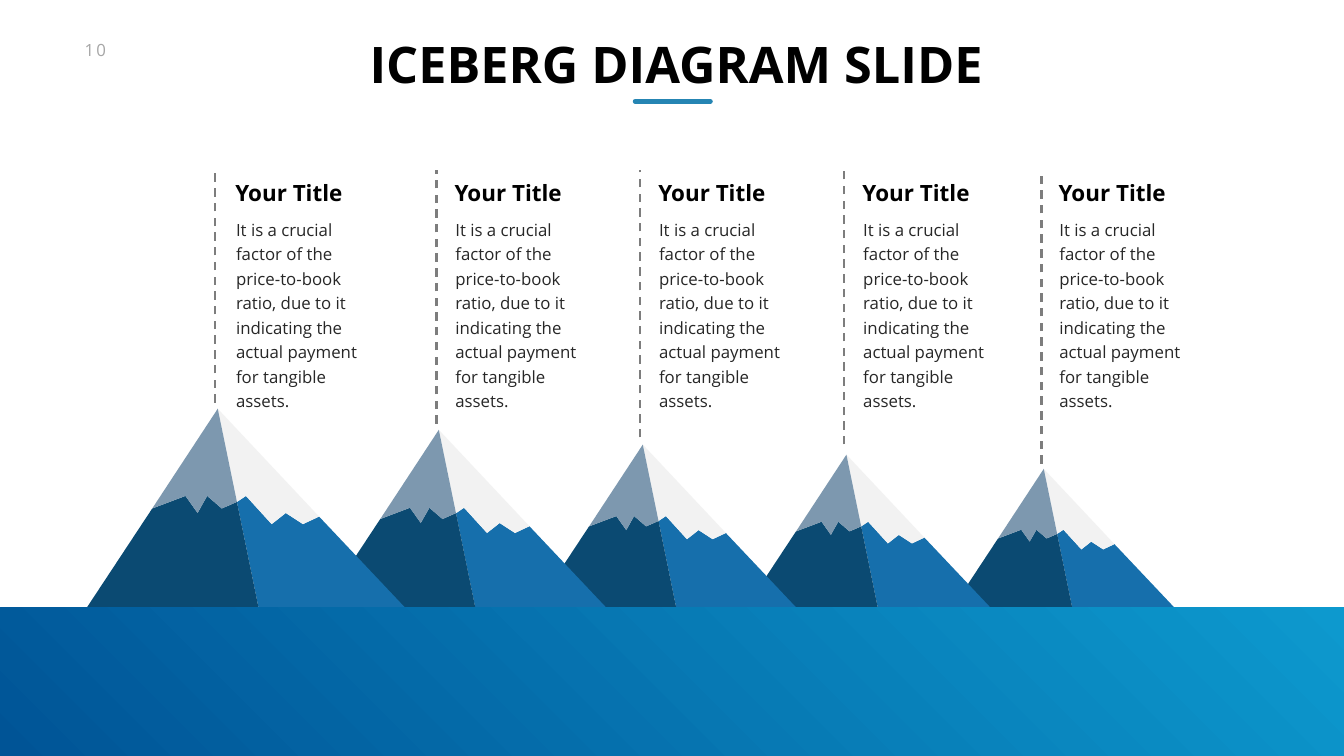
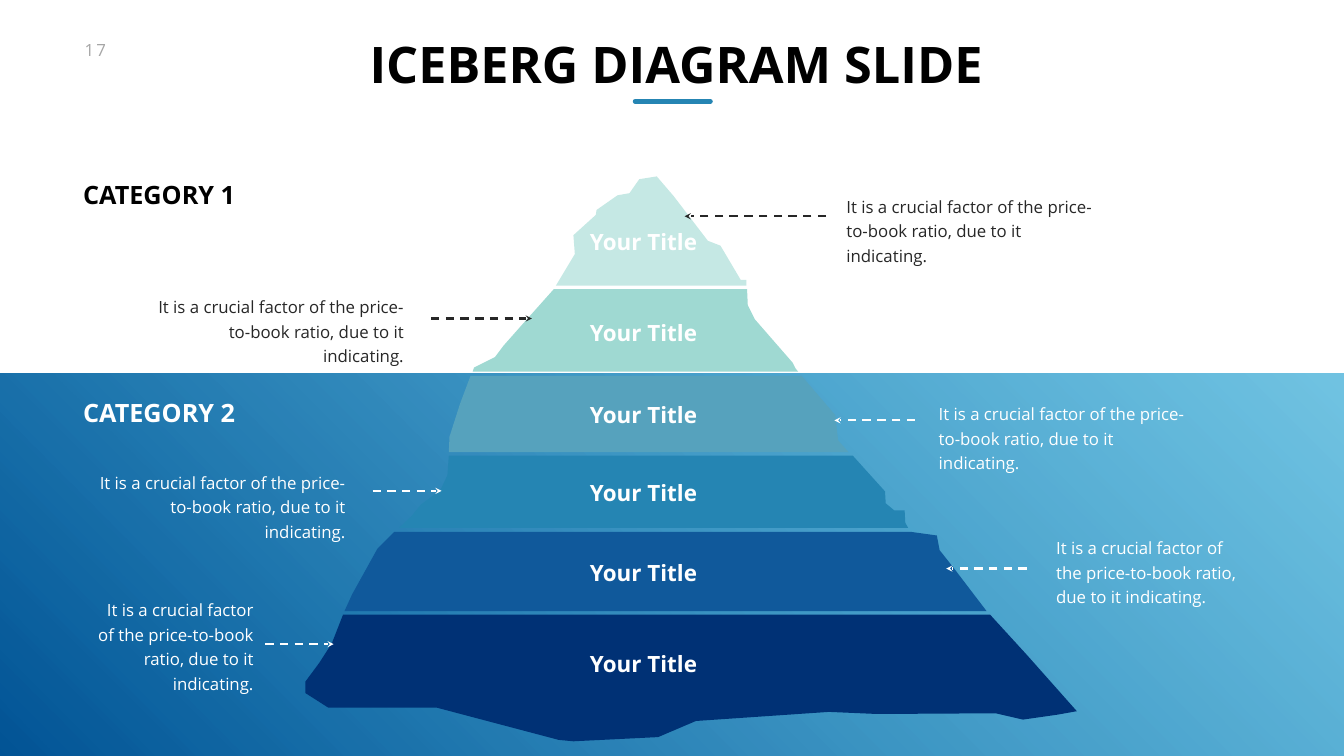
from dataclasses import dataclass

from lxml.etree import SubElement
from pptx import Presentation
from pptx.dml.color import RGBColor
from pptx.enum.dml import MSO_LINE
from pptx.enum.shapes import MSO_CONNECTOR, MSO_SHAPE
from pptx.enum.text import MSO_ANCHOR as Anchor, MSO_AUTO_SIZE as AutoSize, PP_ALIGN as Align
from pptx.oxml.ns import qn
from pptx.util import Pt

Point = tuple[float, float]

SLIDE_WIDTH, SLIDE_HEIGHT = 1919.52, 1080
FONT = "Open Sans"
BLACK, WHITE, INK = "000000", "FFFFFF", "272727"
NUMBER_GREY, DASH_GREY = "A6A6A6", "7D7D7D"
ACCENT = "2585B3"
SEA_DEEP, SEA_LIGHT = "005496", "0D99CE"

SEA_LEVEL = 868.3
MOUNTAIN_WIDTH, MOUNTAIN_HEIGHT = 455, 284.4
PEAK, SPLIT = (187.2, 0), (214.6, 133.2)
LEFT_BASE, MIDDLE_BASE, RIGHT_BASE = (0, 284.4), (245.5, 284.4), (455, 284.4)
LEFT_SNOW = [(93.6, 142.6), (141.1, 124.6), (158.4, 149), (172.1, 124.6), (193, 142.6)]
RIGHT_SNOW = [(227.5, 124.6), (264.2, 164.9), (284.4, 149), (308.9, 164.9), (331.9, 154.1)]
MOUNTAIN_FACES = [
    ("166FAC", [SPLIT, *RIGHT_SNOW, RIGHT_BASE, MIDDLE_BASE]),
    ("F2F2F2", [PEAK, SPLIT, *RIGHT_SNOW]),
    ("0B4A72", [LEFT_BASE, *LEFT_SNOW, SPLIT, MIDDLE_BASE]),
    ("7D98AF", [PEAK, *LEFT_SNOW, SPLIT]),
]

LABEL = "Your Title"
CALLOUT_TEXT = "It is a crucial factor of the price-to-book ratio, due to it indicating."
MOUNTAIN_TEXT = (
    "It is a crucial factor of the price-to-book ratio, due to it indicating "
    "the actual payment for tangible assets."
)


@dataclass(frozen=True)
class Box:
    left: float
    top: float
    width: float
    height: float


@dataclass(frozen=True)
class TextStyle:
    size: float
    color: str
    bold: bool = False
    align: Align = Align.LEFT
    anchor: Anchor = Anchor.TOP
    wrap: bool = False
    margins: Point = (7.2, 3.6)
    line_spacing: float | None = None
    space_before: float = 0


@dataclass(frozen=True)
class Mountain:
    left: float
    width: float
    line_x: float
    line_bottom: float
    text_left: float


@dataclass(frozen=True)
class Layer:
    color: str
    label_top: float
    outline: list[Point]


@dataclass(frozen=True)
class Callout:
    box: Box
    color: str
    arrow_start: float
    arrow_tip: float
    arrow_y: float


MOUNTAINS = [
    Mountain(123.8, 455, 307.4, 575.3, 329),
    Mountain(459.4, 406.8, 623.5, 605.5, 642.2),
    Mountain(764.6, 373, 914.4, 625, 933.1),
    Mountain(1064.9, 350, 1205.3, 635, 1224.7),
    Mountain(1360.1, 317.5, 1487.5, 662.4, 1504.8),
]

LAYERS = [
    Layer("C5E8E4", 322.6, [
        (794, 408), (1066, 408), (1066, 400), (1058, 400), (1029, 351), (1011, 344),
        (962, 280), (938, 252), (913, 256), (899, 276), (882, 279), (852, 300),
        (851, 307), (819, 336), (821, 363)]),
    Layer("9FD9D2", 451.4, [
        (1140, 531), (1136, 526), (1132, 518), (1078, 456), (1068, 436), (1067, 413),
        (791, 413), (750, 459), (719, 494), (707, 510), (677, 525), (675, 531)]),
    Layer("56A2BD", 568.8, [
        (672, 537), (657, 577), (642, 624), (641, 646), (1212, 646), (1197, 629),
        (1193, 593), (1145, 537)]),
    Layer(ACCENT, 681.1, [
        (1297, 754), (1293, 747), (1292, 729), (1277, 729), (1265, 719), (1264, 702),
        (1218, 651), (641, 651), (639, 679), (629, 700), (601, 721), (588, 737),
        (570, 754)]),
    Layer("10599B", 794.9, [
        (1302, 760), (563, 760), (539, 784), (503, 849), (492, 873), (1409, 873),
        (1361, 810), (1342, 786), (1338, 765)]),
    Layer("003175", 925.2, [
        (1467, 936), (1414, 878), (490, 878), (474, 919), (456, 947), (436, 974),
        (436, 990), (469, 1011), (624, 1011), (798, 1057), (819, 1059), (940, 1053),
        (994, 1030), (1184, 1017), (1253, 1020), (1422, 1019), (1461, 1028),
        (1510, 1021), (1538, 1016)]),
]

CALLOUTS = [
    Callout(Box(1191.6, 265.7, 398.9, 85.7), INK, 1180, 977.8, 308.9),
    Callout(Box(195.1, 409.7, 398.9, 85.7), INK, 615.6, 759.6, 455),
    Callout(Box(1323.4, 562.3, 398.9, 85.7), WHITE, 1306.8, 1191.6, 600.5),
    Callout(Box(111.6, 660.2, 398.9, 85.7), WHITE, 532.1, 630.7, 701.3),
    Callout(Box(1491.1, 753.8, 308.2, 121), WHITE, 1466.6, 1351.4, 812.2),
    Callout(Box(111.6, 842.4, 267.8, 156.2), WHITE, 378.7, 476.6, 920.2),
]


def rgb(color: str) -> RGBColor:
    return RGBColor.from_string(color)


def body_style(color: str, align: Align = Align.LEFT) -> TextStyle:
    return TextStyle(24, color, align=align, wrap=True, margins=(17.3, 8.6),
                     line_spacing=35, space_before=4.8)


def label_style(color: str, align: Align = Align.LEFT) -> TextStyle:
    return TextStyle(32, color, bold=True, align=align, anchor=Anchor.MIDDLE)


def fill_text(shape, text: str, style: TextStyle):
    frame = shape.text_frame
    frame.text = text
    frame.word_wrap = style.wrap
    frame.auto_size = AutoSize.SHAPE_TO_FIT_TEXT
    frame.vertical_anchor = style.anchor
    frame.margin_left = frame.margin_right = Pt(style.margins[0])
    frame.margin_top = frame.margin_bottom = Pt(style.margins[1])
    paragraph = frame.paragraphs[0]
    paragraph.alignment = style.align
    paragraph.space_before = Pt(style.space_before)
    if style.line_spacing:
        paragraph.line_spacing = Pt(style.line_spacing)
    font = paragraph.runs[0].font
    font.name, font.size, font.bold = FONT, Pt(style.size), style.bold
    font.color.rgb = rgb(style.color)


def lengths(box: Box) -> list[Pt]:
    return [Pt(value) for value in (box.left, box.top, box.width, box.height)]


def add_text(slide, box: Box, text: str, style: TextStyle):
    shape = slide.shapes.add_textbox(*lengths(box))
    fill_text(shape, text, style)
    return shape


def add_line(slide, start: Point, end: Point, color: str, width: float):
    connector = slide.shapes.add_connector(
        MSO_CONNECTOR.STRAIGHT, *(Pt(value) for value in (*start, *end)))
    connector.line.color.rgb = rgb(color)
    connector.line.width = Pt(width)
    SubElement(connector._element.spPr, qn("a:effectLst"))
    return connector


def add_dashed_line(slide, start: Point, end: Point, color: str, arrow: bool = False):
    connector = add_line(slide, start, end, color, 3)
    connector.line.dash_style = MSO_LINE.DASH
    if arrow:
        line = connector._element.spPr.find(qn("a:ln"))
        SubElement(line, qn("a:tailEnd")).set("type", "stealth")


def add_polygon(slide, points: list[Point], color: str):
    corners = [(Pt(x), Pt(y)) for x, y in points]
    builder = slide.shapes.build_freeform(*corners[0])
    builder.add_line_segments(corners[1:], close=True)
    shape = builder.convert_to_shape()
    shape.shadow.inherit = False
    shape.fill.solid()
    shape.fill.fore_color.rgb = rgb(color)
    shape.line.fill.background()


def add_sea(slide, top: float, light_opacity: int = 100):
    box = Box(0, top, SLIDE_WIDTH, SLIDE_HEIGHT - top)
    shape = slide.shapes.add_shape(MSO_SHAPE.RECTANGLE, *lengths(box))
    shape.shadow.inherit = False
    shape.line.fill.background()
    shape.fill.gradient()
    shape.fill.gradient_angle = 45
    for stop, color, position in zip(shape.fill.gradient_stops, (SEA_DEEP, SEA_LIGHT), (0, 1)):
        stop.color.rgb = rgb(color)
        stop.position = position
    if light_opacity < 100:
        light = list(shape._element.spPr.iter(qn("a:srgbClr")))[-1]
        SubElement(light, qn("a:alpha")).set("val", str(light_opacity * 1000))


def add_titled_slide(presentation, number: int):
    slide = presentation.slides.add_slide(presentation.slide_layouts[5])
    title = slide.shapes.title
    title.left, title.top, title.width, title.height = lengths(Box(516.2, 46.8, 892.1, 87.1))
    fill_text(title, "ICEBERG DIAGRAM SLIDE",
              TextStyle(72, BLACK, bold=True, align=Align.CENTER, margins=(0, 0)))
    title.text_frame.margin_left = Pt(7.2)
    underline = add_line(slide, (907.2, 144.7), (1014.5, 144.7), ACCENT, 7)
    underline._element.spPr.find(qn("a:ln")).set("cap", "rnd")
    page = add_text(slide, Box(113.8, 53.3, 54, 36), str(number), TextStyle(24, NUMBER_GREY))
    page.text_frame.paragraphs[0].runs[0].font._element.set("spc", "300")
    return slide


def draw_mountain(slide, mountain: Mountain):
    scale = mountain.width / MOUNTAIN_WIDTH
    top = SEA_LEVEL - MOUNTAIN_HEIGHT * scale
    for color, face in MOUNTAIN_FACES:
        add_polygon(slide, [(mountain.left + x * scale, top + y * scale) for x, y in face], color)


def draw_mountain_text(slide, mountain: Mountain):
    add_dashed_line(slide, (mountain.line_x, mountain.line_bottom),
                    (mountain.line_x, 243.4), DASH_GREY)
    add_text(slide, Box(mountain.text_left, 252.7, 169.2, 46), LABEL, label_style(BLACK))
    add_text(slide, Box(mountain.text_left - 9.1, 298.8, 240.5, 226.8),
             MOUNTAIN_TEXT, body_style(INK))


def draw_callout(slide, callout: Callout):
    align = Align.RIGHT if callout.arrow_tip > callout.arrow_start else Align.LEFT
    add_dashed_line(slide, (callout.arrow_start, callout.arrow_y),
                    (callout.arrow_tip, callout.arrow_y), callout.color, arrow=True)
    add_text(slide, callout.box, CALLOUT_TEXT, body_style(callout.color, align))


def build_mountain_slide(presentation):
    slide = add_titled_slide(presentation, 10)
    for mountain in reversed(MOUNTAINS):
        draw_mountain(slide, mountain)
    for mountain in MOUNTAINS:
        draw_mountain_text(slide, mountain)
    add_sea(slide, SEA_LEVEL)


def build_iceberg_slide(presentation):
    slide = add_titled_slide(presentation, 17)
    add_sea(slide, 534.2, light_opacity=59)
    for layer in LAYERS:
        add_polygon(slide, layer.outline, layer.color)
    for callout in CALLOUTS:
        draw_callout(slide, callout)
    for text, top, color in (("CATEGORY 1", 252, BLACK), ("CATEGORY 2", 564.5, WHITE)):
        add_text(slide, Box(111.6, top, 234, 51.1), text, TextStyle(36, color, bold=True))
    for layer in LAYERS:
        add_text(slide, Box(834.5, layer.label_top, 169.2, 46), LABEL,
                 label_style(WHITE, Align.CENTER))


def main():
    presentation = Presentation()
    presentation.slide_width, presentation.slide_height = Pt(SLIDE_WIDTH), Pt(SLIDE_HEIGHT)
    build_mountain_slide(presentation)
    build_iceberg_slide(presentation)
    presentation.save("out.pptx")


if __name__ == "__main__":
    main()
